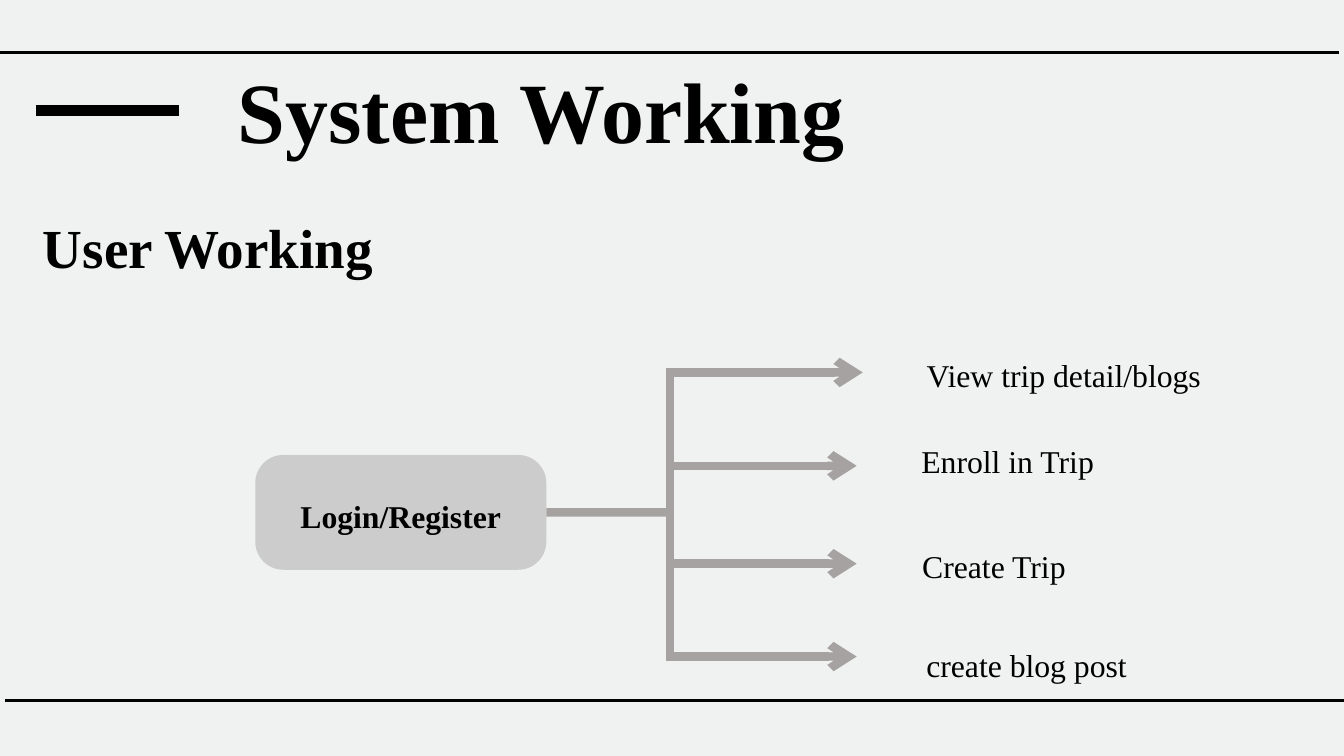
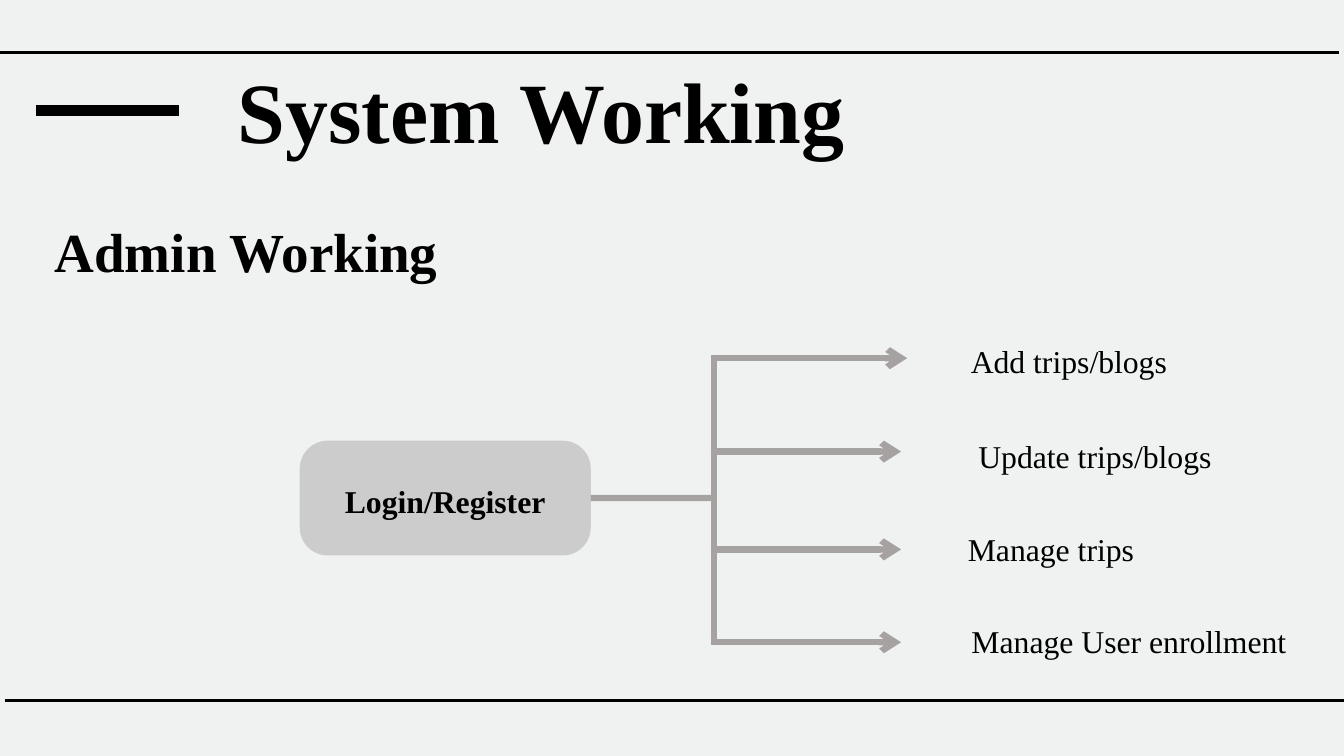
from dataclasses import dataclass

from lxml.etree import SubElement
from pptx import Presentation
from pptx.dml.color import RGBColor
from pptx.enum.shapes import MSO_CONNECTOR, MSO_SHAPE
from pptx.enum.text import MSO_ANCHOR, PP_ALIGN
from pptx.oxml.ns import qn
from pptx.shapes.autoshape import Shape
from pptx.shapes.connector import Connector
from pptx.slide import Slide
from pptx.text.text import TextFrame
from pptx.util import Cm, Pt

COLORS = {
    "background": "F8F8F8",
    "panel": "F0F1F1",
    "ink": "000000",
    "box": "CCCCCC",
    "flow": "A6A2A2",
}
FONT = "Times New Roman"
LINE_SPACING = 1.4
SLIDE_W, SLIDE_H = 50.8, 28.58
HEADING_W = 25.22
LABEL_H = 1.6

# The flow diagram, measured from the top left corner of its box
BOX_W, BOX_H = 11, 4.34
SPINE_X = 15.67
SPINE_TOP, SPINE_BOTTOM = -3.23, 7.49
BRANCH_X = 15.54
BRANCH_YS = (-3.12, 0.41, 4.11, 7.62)
BRANCH_ENDS = (22.96, 22.73, 22.73, 22.73)


@dataclass(frozen=True)
class TextStyle:
    size: float
    bold: bool = False


TITLE = TextStyle(92, True)
SUBTITLE = TextStyle(59, True)
BOX_LABEL = TextStyle(34, True)
ACTION = TextStyle(34)


@dataclass(frozen=True)
class Label:
    text: str
    left: float
    top: float
    width: float


@dataclass(frozen=True)
class Flow:
    subtitle: Label
    box_left: float
    box_top: float
    line_width: float
    actions: tuple[Label, ...]


FLOWS = (
    Flow(
        Label("User Working", -4.75, 7.67, HEADING_W), 9.65, 17.2, 9,
        (
            Label("View trip detail/blogs", 33.66, 13.21, 13.11),
            Label("Enroll in Trip", 33.96, 16.48, 8.26),
            Label("Create Trip", 33.66, 20.42, 7.82),
            Label("create blog post", 33.66, 24.16, 10.29),
        ),
    ),
    Flow(
        Label("Admin Working", -3.3, 7.82, HEADING_W), 11.33, 16.66, 6.75,
        (
            Label("Add trips/blogs", 34.32, 12.67, 12.17),
            Label("Update trips/blogs", 34.85, 16.26, 13.08),
            Label("Manage trips", 34.85, 19.79, 9.75),
            Label("Manage User enrollment", 35.51, 23.27, 14.33),
        ),
    ),
)


def rgb(name: str) -> RGBColor:
    return RGBColor.from_string(COLORS[name])


def write(tf: TextFrame, text: str, style: TextStyle) -> None:
    """Put one centred line of text into a frame without margins."""
    tf.word_wrap = True
    tf.margin_left = tf.margin_right = tf.margin_top = tf.margin_bottom = 0
    tf.text = text
    p = tf.paragraphs[0]
    p.alignment = PP_ALIGN.CENTER
    p.line_spacing = Pt(style.size * LINE_SPACING)
    font = p.runs[0].font
    font.name, font.size, font.bold = FONT, Pt(style.size), style.bold
    font.color.rgb = rgb("ink")


def add_label(s: Slide, label: Label, style: TextStyle, height: float) -> None:
    tb = s.shapes.add_textbox(Cm(label.left), Cm(label.top), Cm(label.width), Cm(height))
    write(tb.text_frame, label.text, style)


def add_round_box(s: Slide, left: float, top: float, width: float, height: float,
                  radius: float, color: str) -> Shape:
    sp = s.shapes.add_shape(MSO_SHAPE.ROUNDED_RECTANGLE,
                            Cm(left), Cm(top), Cm(width), Cm(height))
    sp.adjustments[0] = radius / min(width, height)
    sp.shadow.inherit = False
    sp.fill.solid()
    sp.fill.fore_color.rgb = rgb(color)
    sp.line.fill.background()
    return sp


def add_line(s: Slide, x1: float, y1: float, x2: float, y2: float,
             width: float, color: str, arrow: bool = False) -> Connector:
    line = s.shapes.add_connector(MSO_CONNECTOR.STRAIGHT, Cm(x1), Cm(y1), Cm(x2), Cm(y2))
    line.line.width = Pt(width)
    line.line.color.rgb = rgb(color)
    if arrow:
        SubElement(line.line._get_or_add_ln(), qn("a:tailEnd"), type="arrow")
    SubElement(line._element.spPr, qn("a:effectLst"))
    return line


def add_frame(s: Slide) -> None:
    """Draw the background, panel and the two rules every slide has."""
    s.background.fill.solid()
    s.background.fill.fore_color.rgb = rgb("background")
    add_round_box(s, 0, -0.15, SLIDE_W, 29.31, 0.23, "panel")
    add_line(s, 0, 1.98, 50.62, 1.98, 3, "ink")
    add_line(s, 0.18, 26.49, SLIDE_W, 26.49, 3, "ink")


def add_headings(s: Slide, subtitle: Label) -> None:
    add_label(s, Label("System Working", 7.85, 1.55, HEADING_W), TITLE, 4.34)
    add_line(s, 1.35, 4.17, 6.78, 4.17, 11.25, "ink")
    add_label(s, subtitle, SUBTITLE, 2.79)


def add_flow(s: Slide, flow: Flow) -> None:
    """Draw the login box, its spine and one arrow for each action."""
    x, y, width = flow.box_left, flow.box_top, flow.line_width
    box = add_round_box(s, x, y, BOX_W, BOX_H, 1.06, "box")
    write(box.text_frame, "Login/Register", BOX_LABEL)
    box.text_frame.vertical_anchor = MSO_ANCHOR.MIDDLE

    middle = y + BOX_H / 2
    stem = add_line(s, x + BOX_W, middle, x + BRANCH_X, middle, width, "flow")
    stem.begin_connect(box, 3)
    add_line(s, x + SPINE_X, y + SPINE_TOP, x + SPINE_X, y + SPINE_BOTTOM, width, "flow")
    for dy, end, action in zip(BRANCH_YS, BRANCH_ENDS, flow.actions):
        add_line(s, x + BRANCH_X, y + dy, x + end, y + dy, width, "flow", arrow=True)
        add_label(s, action, ACTION, LABEL_H)


def main() -> None:
    prs = Presentation()
    prs.slide_width, prs.slide_height = Cm(SLIDE_W), Cm(SLIDE_H)
    for flow in FLOWS:
        s = prs.slides.add_slide(prs.slide_layouts[6])
        add_frame(s)
        add_flow(s, flow)
        add_headings(s, flow.subtitle)
    prs.save("out.pptx")


if __name__ == "__main__":
    main()
